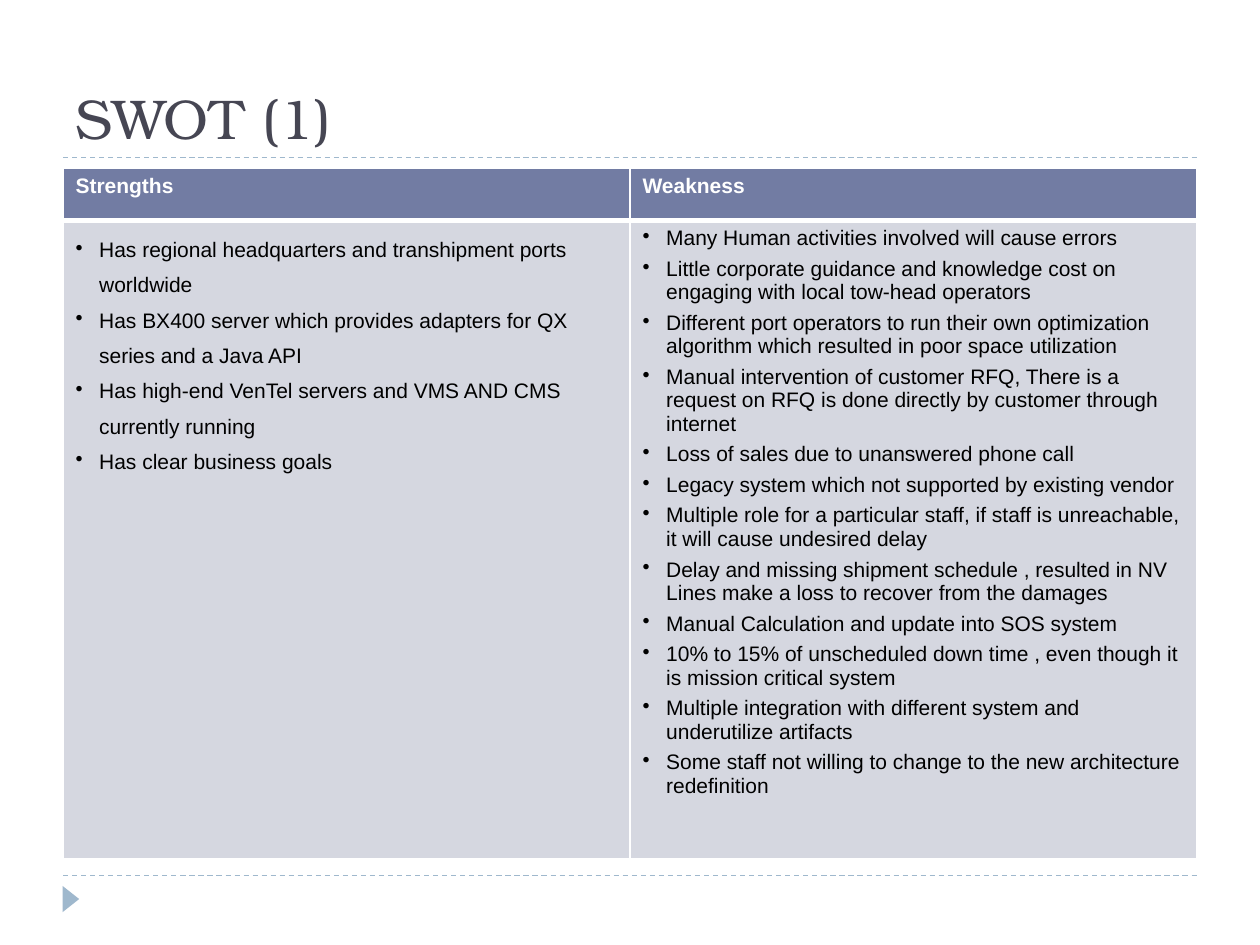
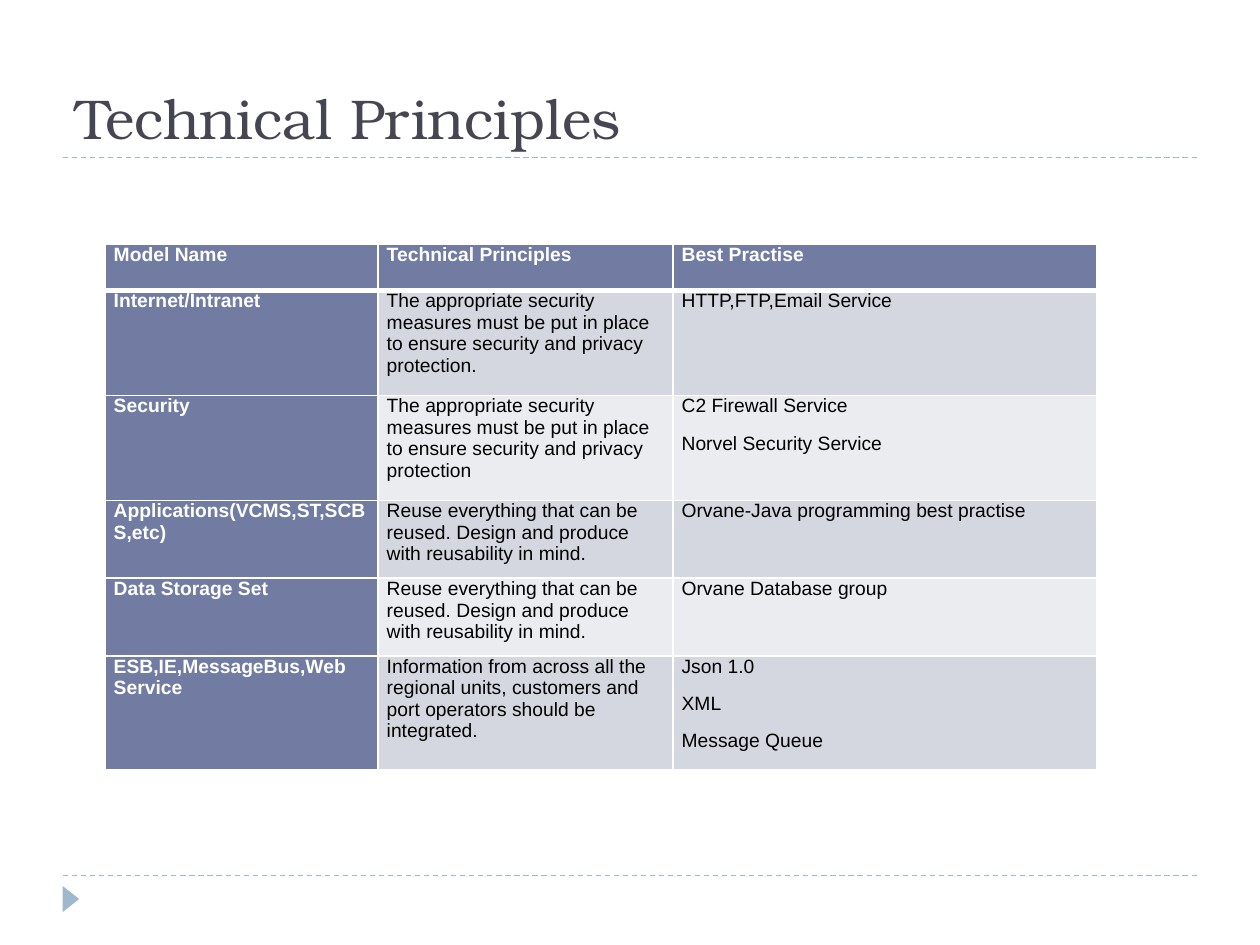
from lxml.etree import SubElement
from pptx import Presentation
from pptx.dml.color import RGBColor
from pptx.enum.dml import MSO_LINE
from pptx.enum.shapes import MSO_CONNECTOR, MSO_SHAPE
from pptx.enum.text import MSO_ANCHOR, PP_ALIGN
from pptx.oxml.ns import qn
from pptx.util import Pt

# Shared colours and fonts
WHITE = RGBColor(0xFF, 0xFF, 0xFF)
BLACK = RGBColor(0x00, 0x00, 0x00)
TITLE_GREY = RGBColor(0x46, 0x46, 0x53)
PALE_BLUE = RGBColor(0x9F, 0xB8, 0xCD)
HEADER_BLUE = RGBColor(0x72, 0x7C, 0xA3)
BAND_DARK = RGBColor(0xD5, 0xD7, 0xE0)
BAND_LIGHT = RGBColor(0xEB, 0xEC, 0xF0)
TITLE_FONT = "TeX Gyre Bonum"
BODY_FONT = "Arial"

# Table contents: each cell is a list of paragraphs
STRENGTHS = [
    "Has regional headquarters and transhipment ports worldwide",
    "Has BX400 server which provides adapters for QX series and a Java API",
    "Has high-end VenTel servers and VMS AND CMS currently running",
    "Has clear business goals",
]
WEAKNESSES = [
    "Many Human activities involved will cause errors",
    "Little corporate guidance and knowledge cost on engaging with local tow-head operators",
    "Different port operators to run their own optimization algorithm which resulted in poor space utilization",
    "Manual intervention of customer RFQ, There is a request on RFQ is done directly by customer through internet",
    "Loss of sales due to unanswered phone call",
    "Legacy system which not supported by existing vendor",
    "Multiple role for a particular staff, if staff is unreachable, it will cause undesired delay",
    "Delay and missing shipment schedule , resulted in NV Lines make a loss to recover from the damages",
    "Manual Calculation and update into SOS system",
    "10% to 15% of unscheduled down time , even though it is mission critical system",
    "Multiple integration with different system and underutilize artifacts",
    "Some staff not willing to change to the new architecture redefinition",
]
SECURE = "The appropriate security measures must be put in place to ensure security and privacy protection"
REUSE = "Reuse everything that can be reused. Design and produce with reusability in mind."
INTEGRATE = ("Information from across all the regional units, customers and "
             "port operators should be integrated.")

PAGES = [
    {
        "title": "SWOT (1)",
        "left": 36, "top": 96, "columns": [324, 324], "rows": [30, 365],
        "size": 12, "header_column": False, "margins": {},
        "header_spacing": {},
        "body_spacing": [{"line_spacing": 1.5}, {"space_after": Pt(4)}],
        "bullets": True,
        "cells": [[["Strengths"], ["Weakness"]], [STRENGTHS, WEAKNESSES]],
    },
    {
        "title": "Technical Principles",
        "left": 60, "top": 139.5, "columns": [156, 168.5, 242],
        "rows": [26.5, 60, 60, 44.5, 44.5, 65],
        "size": 11, "header_column": True,
        "margins": {"margin_left": Pt(5), "margin_right": Pt(5),
                    "margin_top": Pt(0), "margin_bottom": Pt(0)},
        "header_spacing": {"space_before": Pt(6), "space_after": Pt(3)},
        "body_spacing": [{"space_before": Pt(6), "space_after": Pt(3)}] * 3,
        "bullets": False,
        "cells": [
            [["Model Name"], ["Technical Principles"], ["Best Practise"]],
            [["Internet/Intranet"], [SECURE + "."], ["HTTP,FTP,Email Service"]],
            [["Security"], [SECURE], ["C2 Firewall Service", "Norvel Security Service"]],
            [["Applications(VCMS,ST,SCBS,etc)"], [REUSE],
             ["Orvane-Java programming best practise"]],
            [["Data Storage Set"], [REUSE], ["Orvane Database group"]],
            [["ESB,IE,MessageBus,Web Service"], [INTEGRATE],
             ["Json 1.0", "XML", "Message Queue"]],
        ],
    },
]


def set_borders(cell, widths):
    """Give a cell white borders from a dict of side letter to width."""
    properties = cell._tc.get_or_add_tcPr()
    for side, width in widths.items():
        line = SubElement(properties, qn(f"a:ln{side}"), w=str(Pt(width)))
        fill = SubElement(line, qn("a:solidFill"))
        SubElement(fill, qn("a:srgbClr"), val=str(WHITE))


def add_bullet(para):
    """Give a paragraph a hanging round bullet."""
    properties = para._p.get_or_add_pPr()
    properties.set("marL", str(Pt(13.5)))
    properties.set("indent", str(-Pt(13.5)))
    SubElement(properties, qn("a:buChar"), char="•")


deck = Presentation()
deck.slide_width, deck.slide_height = Pt(720), Pt(540)

for page in PAGES:
    slide = deck.slides.add_slide(deck.slide_layouts[5])

    # Dashed rules under the title and above the footer
    for y in (500.5, 90):
        rule = slide.shapes.add_connector(MSO_CONNECTOR.STRAIGHT, Pt(36), Pt(y), Pt(684), Pt(y))
        rule.line.color.rgb = PALE_BLUE
        rule.line.width = Pt(0.75)
        rule.line.dash_style = MSO_LINE.DASH
        SubElement(rule._element.spPr, qn("a:effectLst"))

    # Footer arrow
    arrow = slide.shapes.add_shape(
        MSO_SHAPE.ISOSCELES_TRIANGLE, Pt(33), Pt(509), Pt(15), Pt(9.5))
    arrow.rotation = 90
    arrow.shadow.inherit = False
    arrow.fill.solid()
    arrow.fill.fore_color.rgb = PALE_BLUE
    arrow.line.fill.background()

    # Title
    title = slide.shapes.title
    title.left, title.top, title.width, title.height = Pt(36), Pt(12), Pt(648), Pt(78)
    title.text_frame.text = page["title"]
    title.text_frame.vertical_anchor = MSO_ANCHOR.BOTTOM
    para = title.text_frame.paragraphs[0]
    para.alignment = PP_ALIGN.LEFT
    span = para.runs[0]
    for name, value in {"name": TITLE_FONT, "size": Pt(32)}.items():
        setattr(span.font, name, value)
    span.font.color.rgb = TITLE_GREY

    # Table frame
    columns, rows = page["columns"], page["rows"]
    table = slide.shapes.add_table(
        len(rows), len(columns), Pt(page["left"]), Pt(page["top"]),
        Pt(sum(columns)), Pt(sum(rows))).table
    table.first_col = page["header_column"]
    for column, width in zip(table.columns, columns):
        column.width = Pt(width)
    for row, height in zip(table.rows, rows):
        row.height = Pt(height)

    # Table cells
    for r, row_cells in enumerate(page["cells"]):
        for c, lines in enumerate(row_cells):
            cell = table.cell(r, c)
            is_header = r == 0 or (c == 0 and page["header_column"])
            set_borders(cell, {"L": 1, "R": 1, "T": 3 if r == 1 else 1, "B": 3 if r == 0 else 1})
            cell.fill.solid()
            band = BAND_DARK if r % 2 else BAND_LIGHT
            cell.fill.fore_color.rgb = HEADER_BLUE if is_header else band
            for name, value in page["margins"].items():
                setattr(cell, name, value)

            cell.text_frame.text = "\n".join(lines)
            spacing = page["header_spacing"] if is_header else page["body_spacing"][c]
            for para in cell.text_frame.paragraphs:
                for name, value in spacing.items():
                    setattr(para, name, value)
                if page["bullets"] and not is_header:
                    add_bullet(para)
                font = para.runs[0].font
                look = {"name": BODY_FONT, "size": Pt(page["size"]), "bold": is_header}
                for name, value in look.items():
                    setattr(font, name, value)
                font.color.rgb = WHITE if is_header else BLACK

deck.save("out.pptx")
